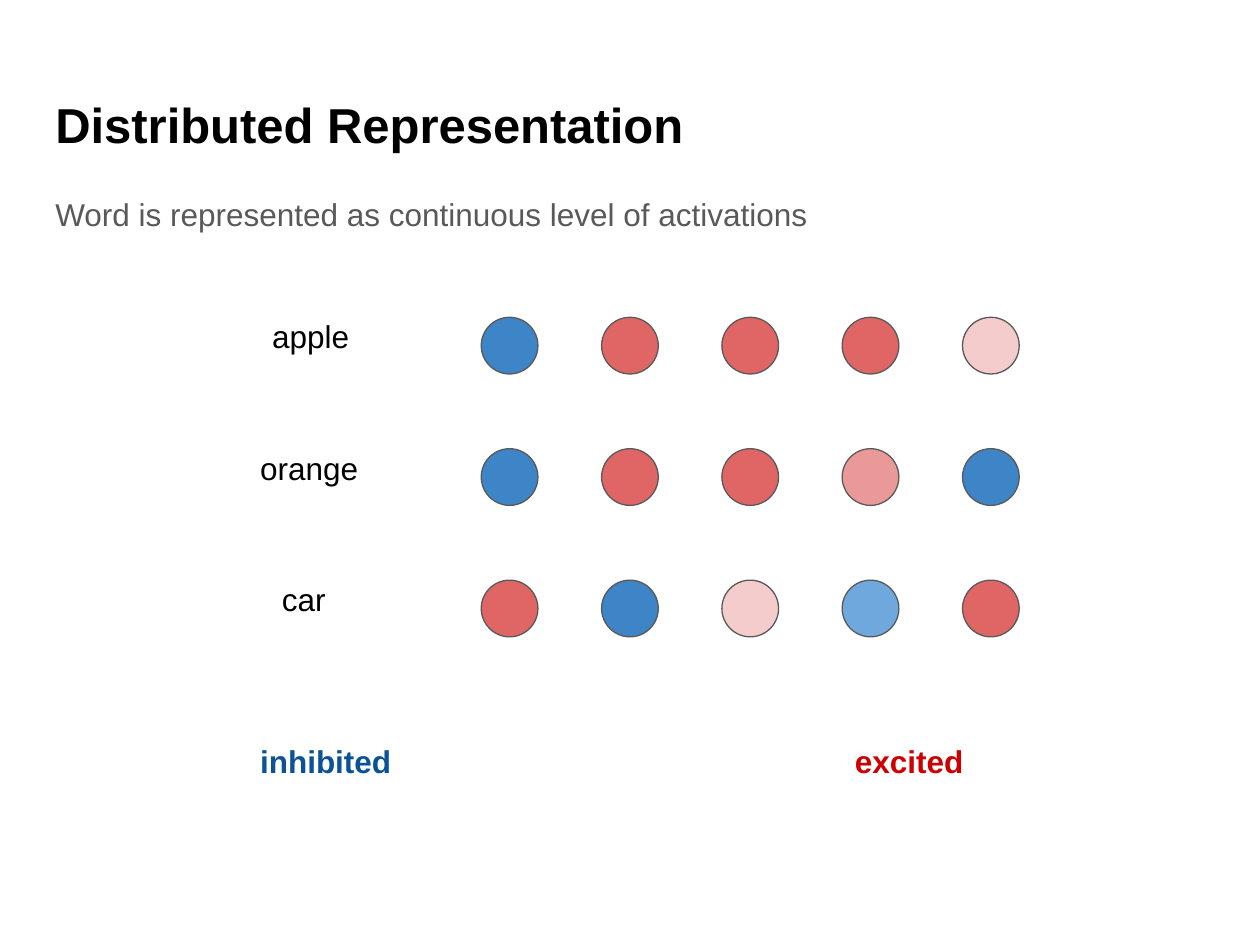
from pptx import Presentation
from pptx.dml.color import RGBColor
from pptx.enum.shapes import MSO_SHAPE
from pptx.enum.text import MSO_ANCHOR
from pptx.util import Pt

COLORS = {
    "black": "000000",
    "gray": "595959",
    "inhibited": "3D85C6",
    "slightly inhibited": "6FA8DC",
    "excited": "E06666",
    "partly excited": "EA9999",
    "slightly excited": "F4CCCC",
    "inhibited label": "0B5394",
    "excited label": "CC0000",
}


class SlideBuilder:
    font_name = "Arial"
    inset = 7.2
    outline_width = 0.75

    def __init__(self, page):
        self.page = page

    def color(self, name):
        return RGBColor.from_string(COLORS[name])

    def text(self, words, left, top, width, height, size=18, color="black", bold=False):
        box = self.page.shapes.add_textbox(Pt(left), Pt(top), Pt(width), Pt(height))
        frame = box.text_frame
        frame.word_wrap = True
        frame.vertical_anchor = MSO_ANCHOR.TOP
        frame.margin_left = frame.margin_right = Pt(self.inset)
        frame.margin_top = frame.margin_bottom = Pt(self.inset)
        paragraph = frame.paragraphs[0]
        paragraph.text = words
        paragraph.font.name = self.font_name
        paragraph.font.size = Pt(size)
        paragraph.font.bold = bold
        paragraph.font.color.rgb = self.color(color)
        return paragraph

    def circle(self, left, top, diameter, level):
        shape = self.page.shapes.add_shape(
            MSO_SHAPE.OVAL, Pt(left), Pt(top), Pt(diameter), Pt(diameter)
        )
        shape.shadow.inherit = False
        shape.fill.solid()
        shape.fill.fore_color.rgb = self.color(level)
        shape.line.color.rgb = self.color("gray")
        shape.line.width = Pt(self.outline_width)


def main():
    deck = Presentation()
    deck.slide_width, deck.slide_height = Pt(720), Pt(540)
    builder = SlideBuilder(deck.slides.add_slide(deck.slide_layouts[6]))

    builder.text("Distributed Representation", 24.5, 46.8, 671, 59.8, size=28, bold=True)
    subtitle = builder.text(
        "Word is represented as continuous level of activations",
        24.5, 100.8, 671, 34.6, color="gray",
    )
    subtitle.line_spacing = 1.15
    subtitle.space_after = Pt(16)

    words = [
        ("apple", 148.4, 73.4,
         ["inhibited", "excited", "excited", "excited", "slightly excited"]),
        ("orange", 141.6, 73.4,
         ["inhibited", "excited", "excited", "partly excited", "inhibited"]),
        ("car", 154, 49,
         ["excited", "inhibited", "slightly excited", "slightly inhibited", "excited"]),
    ]
    first_left, column_step = 275, 68.75
    first_top, row_step = 181.3, 75.1
    diameter, label_rise = 32.4, 7.2
    for row, (word, left, width, levels) in enumerate(words):
        top = first_top + row * row_step
        builder.text(word, left, top - label_rise, width, 46)
        for column, level in enumerate(levels):
            builder.circle(first_left + column * column_step, top, diameter, level)

    legend_top = 416.9
    builder.text("inhibited", 141.6, legend_top, 103.7, 46, color="inhibited label", bold=True)
    builder.text("excited", 481.4, legend_top, 87.1, 46, color="excited label", bold=True)

    deck.save("out.pptx")


if __name__ == "__main__":
    main()
